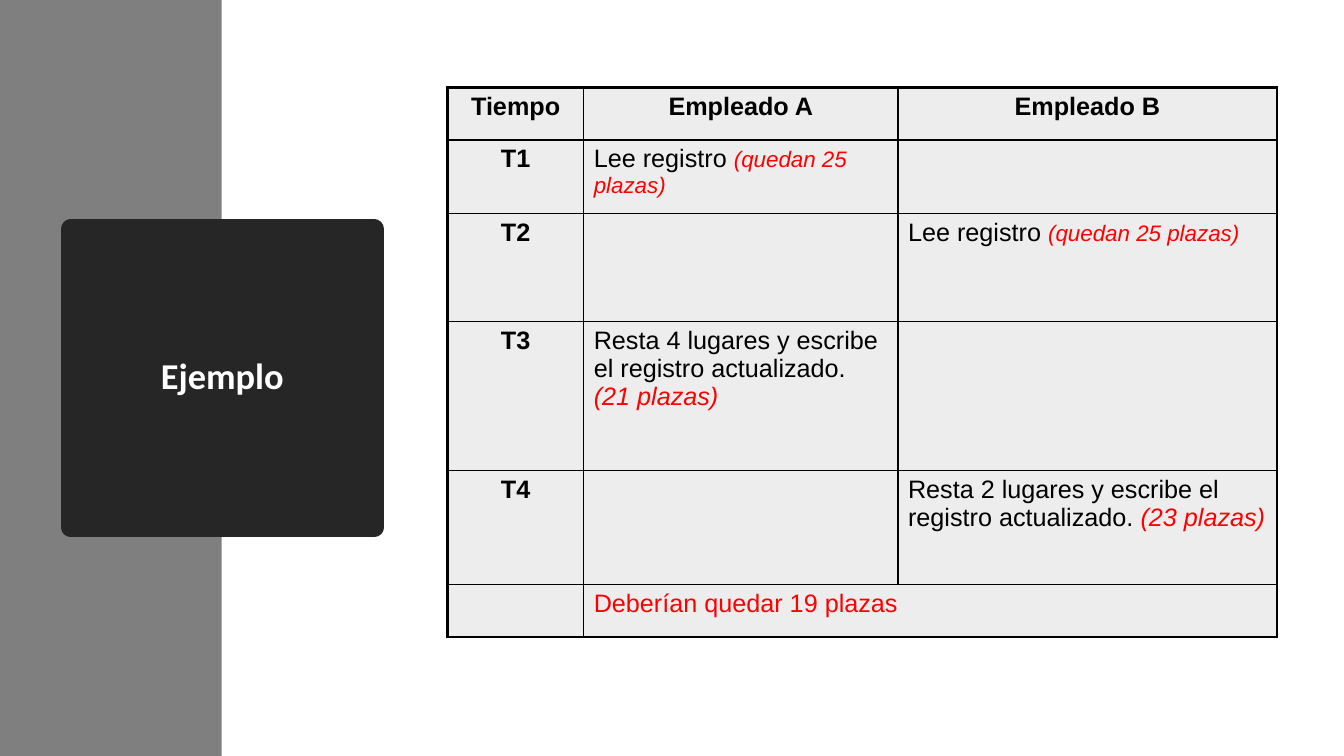
from lxml import etree
from pptx import Presentation
from pptx.dml.color import RGBColor
from pptx.enum.shapes import MSO_SHAPE
from pptx.enum.text import MSO_ANCHOR, PP_ALIGN
from pptx.oxml.ns import qn
from pptx.util import Cm, Pt

RECTANGLE = MSO_SHAPE.RECTANGLE
CENTER, LEFT = PP_ALIGN.CENTER, PP_ALIGN.LEFT
MIDDLE = MSO_ANCHOR.MIDDLE
TITLE_ONLY = 5

BLACK, WHITE, RED = "000000", "FFFFFF", "FF0000"
GREY, DARK, CELL_GREY = "7F7F7F", "262626", "EDEDED"
INNER_LINE, OUTER_LINE = 1, 2.25

COLUMN_WIDTHS = [3.43, 7.92, 9.55]
ROW_HEIGHTS = [1.32, 1.85, 2.72, 3.76, 2.87, 1.32]

HEADING = {"bold": True}
NOTE = {"color": RED, "italic": True}
SMALL_NOTE = {**NOTE, "size": 16}
READ = [("Lee registro ", {}), ("(quedan 25 plazas)", SMALL_NOTE)]

# Each cell is a list of (text, format) spans
ROWS = [
    [[(name, HEADING)] for name in ("Tiempo", "Empleado A", "Empleado B")],
    [[("T1", HEADING)], READ, []],
    [[("T2", HEADING)], [], READ],
    [[("T3", HEADING)],
     [("Resta 4 lugares y escribe el registro actualizado. ", {}),
      ("(21 plazas)", NOTE)], []],
    [[("T4", HEADING)], [],
     [("Resta 2 lugares y escribe el registro actualizado. ", {}),
      ("(23 plazas)", NOTE)]],
    [[], [("Deberían quedar 19 plazas", {"color": RED})], []],
]


def rgb(color):
    return RGBColor.from_string(color)


def format_font(font, size=18, color=BLACK, **values):
    font.size = Pt(size)
    font.color.rgb = rgb(color)
    for name, value in {"name": "Arial", **values}.items():
        setattr(font, name, value)


def add_band(page, height):
    band = page.shapes.add_shape(RECTANGLE, 0, 0, Cm(5.59), height)
    band.shadow.inherit = False
    band.fill.solid()
    band.fill.fore_color.rgb = rgb(GREY)
    band.line.fill.background()


def add_round_title(page, text):
    title = page.shapes.title
    places = {"left": 1.78, "top": 5.77, "width": 7.65, "height": 7.52}
    for name, value in places.items():
        setattr(title, name, Cm(value))
    # Ellipse outline, in front of the band
    geometry = etree.SubElement(title.element.spPr, qn("a:prstGeom"), prst="ellipse")
    etree.SubElement(geometry, qn("a:avLst"))
    title.element.getparent().append(title.element)
    title.fill.solid()
    title.fill.fore_color.rgb = rgb(DARK)
    title.line.color.rgb = rgb(DARK)
    title.line.width = Pt(13.75)
    frame = title.text_frame
    frame.text = text
    frame.word_wrap = True
    frame.vertical_anchor = MIDDLE
    para = frame.paragraphs[0]
    para.alignment = CENTER
    para.line_spacing = 0.9
    format_font(para.runs[0].font, 26, WHITE, name="Calibri", bold=True)


def set_borders(cell, widths):
    properties = cell._tc.get_or_add_tcPr()
    for side, width in widths.items():
        line = etree.SubElement(properties, qn(f"a:ln{side}"), w=str(Pt(width)))
        fill = etree.SubElement(line, qn("a:solidFill"))
        etree.SubElement(fill, qn("a:srgbClr"), val=BLACK)


def fill_cell(cell, color, opacity):
    cell.fill.solid()
    cell.fill.fore_color.rgb = rgb(color)
    shade = cell._tc.tcPr.find(".//" + qn("a:srgbClr"))
    etree.SubElement(shade, qn("a:alpha"), val=str(opacity * 1000))


def write_cell(cell, spans, alignment):
    para = cell.text_frame.paragraphs[0]
    para.alignment = alignment
    for text, values in spans:
        span = para.add_run()
        span.text = text
        format_font(span.font, **values)


def add_schedule(page):
    last_row, last_column = len(ROW_HEIGHTS) - 1, len(COLUMN_WIDTHS) - 1
    frame = page.shapes.add_table(
        last_row + 1, last_column + 1, Cm(11.28), Cm(2.21),
        Cm(sum(COLUMN_WIDTHS)), Cm(sum(ROW_HEIGHTS)))
    table = frame.table
    table.first_row = table.horz_banding = False
    for column, width in zip(table.columns, COLUMN_WIDTHS):
        column.width = Cm(width)
    for row, height in zip(table.rows, ROW_HEIGHTS):
        row.height = Cm(height)
    for i, row in enumerate(ROWS):
        for j, spans in enumerate(row):
            cell = table.cell(i, j)
            edges = {"L": j == 0, "R": j == last_column,
                     "T": i == 0, "B": i == last_row}
            set_borders(cell, {side: OUTER_LINE if outer else INNER_LINE
                               for side, outer in edges.items()})
            fill_cell(cell, CELL_GREY, 92)
            write_cell(cell, spans, CENTER if i == 0 or j == 0 else LEFT)
    # The result spans both employees
    table.cell(last_row, 1).merge(table.cell(last_row, last_column))


def main():
    deck = Presentation()
    deck.slide_width, deck.slide_height = Cm(33.87), Cm(19.05)
    page = deck.slides.add_slide(deck.slide_layouts[TITLE_ONLY])
    add_band(page, deck.slide_height)
    add_round_title(page, "Ejemplo")
    add_schedule(page)
    deck.save("out.pptx")


if __name__ == "__main__":
    main()
